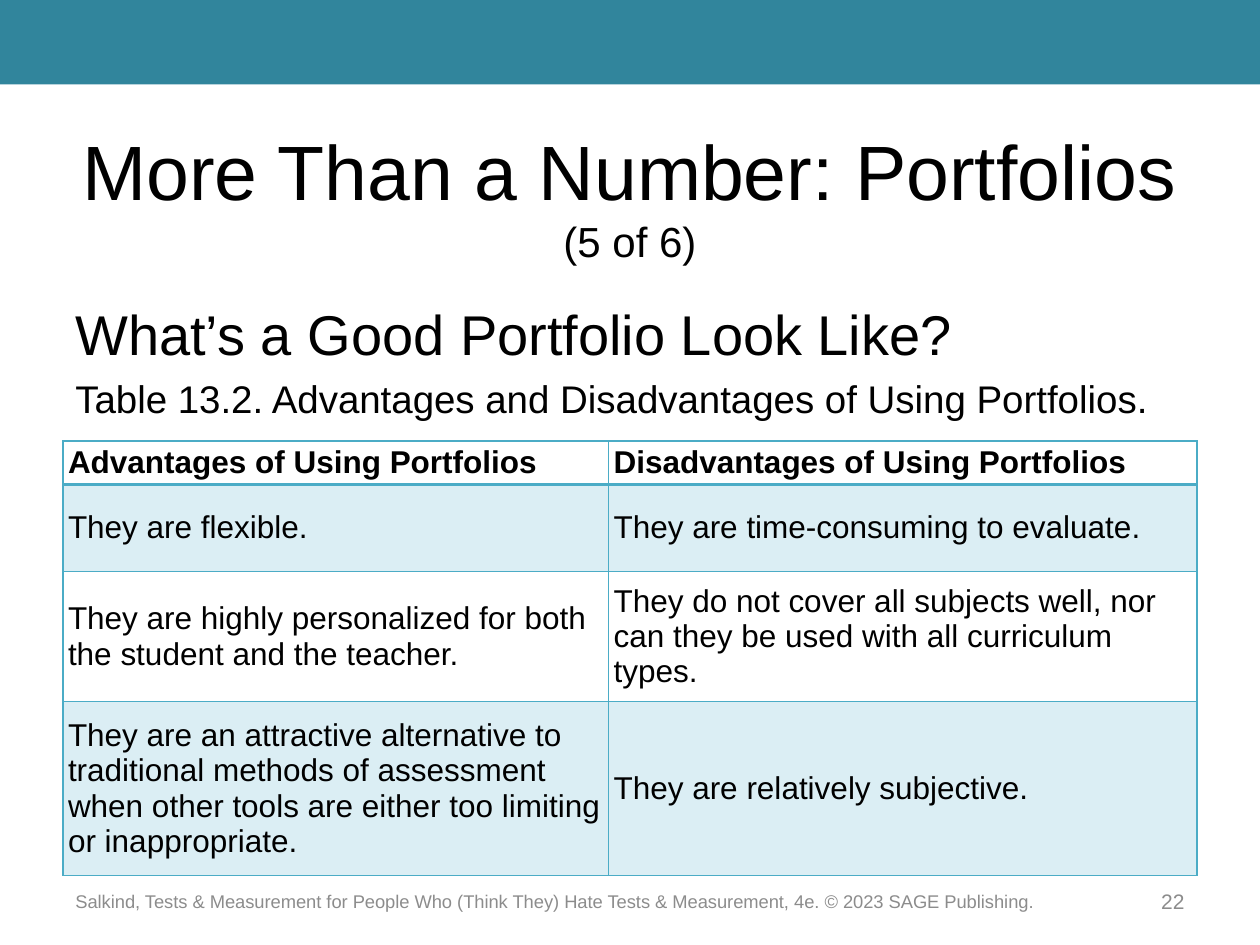
import pptx
import pptx.dml.color
import pptx.enum.shapes
import pptx.enum.text
import pptx.oxml
import pptx.oxml.ns
import pptx.util

Align = pptx.enum.text.PP_ALIGN
Anchor = pptx.enum.text.MSO_ANCHOR
COLORS = {"band": "31859C", "ink": "000000", "muted": "8C8C8C",
          "rule": "4BACC6", "tint": "DBEEF4"}
FONT = "Arial"
COLUMNS, ROWS = 20, 15  # grid of half-inch squares


def rgb(name):
    return pptx.dml.color.RGBColor.from_string(COLORS[name])


def write(para, text, *, size, color="ink", bold=False, align=Align.LEFT,
          before=0, after=0):
    """Add a formatted span of text to a paragraph."""
    para.alignment = align
    para.space_before = pptx.util.Pt(before)
    para.space_after = pptx.util.Pt(after)
    span = para.add_run()
    span.text = text
    span.font.name = FONT
    span.font.size = pptx.util.Pt(size)
    span.font.bold = bold
    span.font.color.rgb = rgb(color)


class SlideBuilder:
    def __init__(self, deck):
        self.width, self.height = deck.slide_width, deck.slide_height
        self.page = deck.slides.add_slide(deck.slide_layouts[5])

    def place(self, column, row, columns, rows):
        """Turn grid units into left, top, width and height."""
        across, down = self.width / COLUMNS, self.height / ROWS
        return [round(length) for length in
                (column * across, row * down, columns * across, rows * down)]

    def band(self, color, *area):
        box = self.page.shapes.add_shape(
            pptx.enum.shapes.MSO_SHAPE.RECTANGLE, *self.place(*area))
        box.shadow.inherit = False
        box.fill.solid()
        box.fill.fore_color.rgb = rgb(color)
        box.line.fill.background()

    def title(self, spans, *area):
        box = self.page.shapes.title
        box.left, box.top, box.width, box.height = self.place(*area)
        frame = box.text_frame
        frame.auto_size = pptx.enum.text.MSO_AUTO_SIZE.NONE
        frame.vertical_anchor = Anchor.MIDDLE
        for text, size in spans:
            write(frame.paragraphs[0], text, size=size, align=Align.CENTER)

    def text(self, lines, *area, anchor=Anchor.TOP):
        box = self.page.shapes.add_textbox(*self.place(*area))
        frame = box.text_frame
        frame.word_wrap = True
        frame.vertical_anchor = anchor
        for number, (text, style) in enumerate(lines):
            para = frame.add_paragraph() if number else frame.paragraphs[0]
            write(para, text, **style)

    def border(self, cell, side, width):
        cell._tc.get_or_add_tcPr().append(pptx.oxml.parse_xml(
            f'<a:ln{side} {pptx.oxml.ns.nsdecls("a")} w="{pptx.util.Pt(width)}">'
            f'<a:solidFill><a:srgbClr val="{COLORS["rule"]}"/></a:solidFill>'
            f'</a:ln{side}>'))

    def table(self, content, widths, heights, column, row):
        area = self.place(column, row, sum(widths), sum(heights))
        table = self.page.shapes.add_table(
            len(heights), len(widths), *area).table
        table.first_row = table.horz_banding = False
        for line, width in zip(table.columns, widths):
            line.width = self.place(0, 0, width, 0)[2]
        for line, height in zip(table.rows, heights):
            line.height = self.place(0, 0, 0, height)[3]
        for r, texts in enumerate(content):
            for c, text in enumerate(texts):
                cell = table.cell(r, c)
                cell.vertical_anchor = Anchor.MIDDLE
                cell.margin_left = cell.margin_right = pptx.util.Inches(0.04)
                cell.margin_top = cell.margin_bottom = 0
                # The header row has a heavier rule below it
                for side in "LRTB":
                    heavy = (r, side) in ((0, "B"), (1, "T"))
                    self.border(cell, side, 2 if heavy else 1)
                if r % 2:
                    cell.fill.solid()
                    cell.fill.fore_color.rgb = rgb("tint")
                else:
                    cell.fill.background()
                write(cell.text_frame.paragraphs[0], text, size=18,
                      bold=r == 0, after=12 if r else 0)


def main():
    deck = pptx.Presentation()
    deck.slide_width = pptx.util.Inches(10)
    deck.slide_height = pptx.util.Inches(7.5)
    slide = SlideBuilder(deck)

    # Heading
    slide.band("band", 0, 0, COLUMNS, 1.34)
    slide.title([("More Than a Number: Portfolios ", 44), ("(5 of 6)", 24)],
                1, 1.84, 18, 2.5)

    # Question and table caption
    slide.text([
        ("What’s a Good Portfolio Look Like?", {"size": 32}),
        ("Table 13.2. Advantages and Disadvantages of Using Portfolios.",
         {"size": 22, "before": 4.4}),
    ], 1, 4.66, 18.34, 2.66)

    # Advantages and disadvantages
    slide.table([
        ("Advantages of Using Portfolios", "Disadvantages of Using Portfolios"),
        ("They are flexible.", "They are time-consuming to evaluate."),
        ("They are highly personalized for both the student and the teacher.",
         "They do not cover all subjects well, nor can they be used with all "
         "curriculum types."),
        ("They are an attractive alternative to traditional methods of "
         "assessment when other tools are either too limiting or "
         "inappropriate.", "They are relatively subjective."),
    ], widths=(8.66, 9.34), heights=(0.69, 1.38, 2.07, 2.76), column=1, row=7)

    # Footer and page number
    slide.text([("Salkind, Tests & Measurement for People Who (Think They) Hate "
                 "Tests & Measurement, 4e. © 2023 SAGE Publishing.",
                 {"size": 10.5, "color": "muted"})],
               1, 13.9, 16.5, 0.8, anchor=Anchor.MIDDLE)
    slide.text([("22", {"size": 12, "color": "muted", "align": Align.RIGHT})],
               18, 13.9, 1, 0.8, anchor=Anchor.MIDDLE)

    deck.save("out.pptx")


if __name__ == "__main__":
    main()
